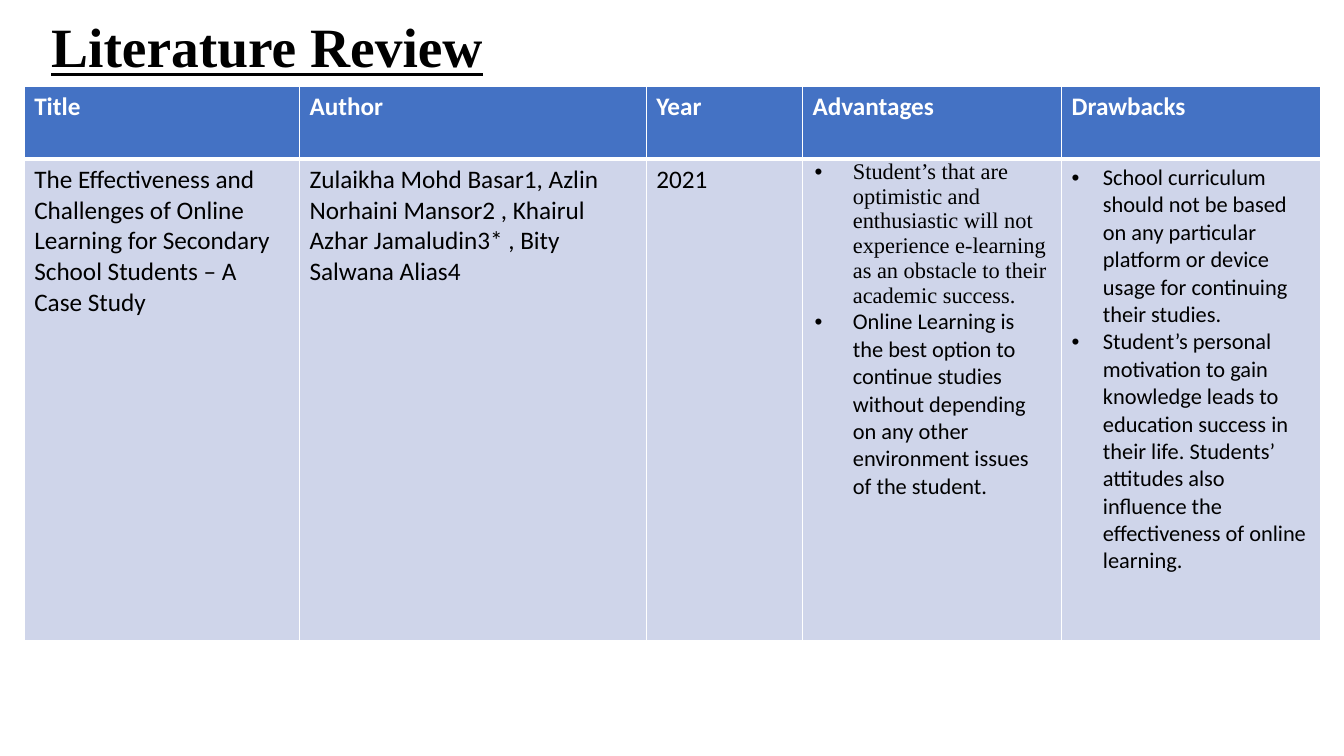
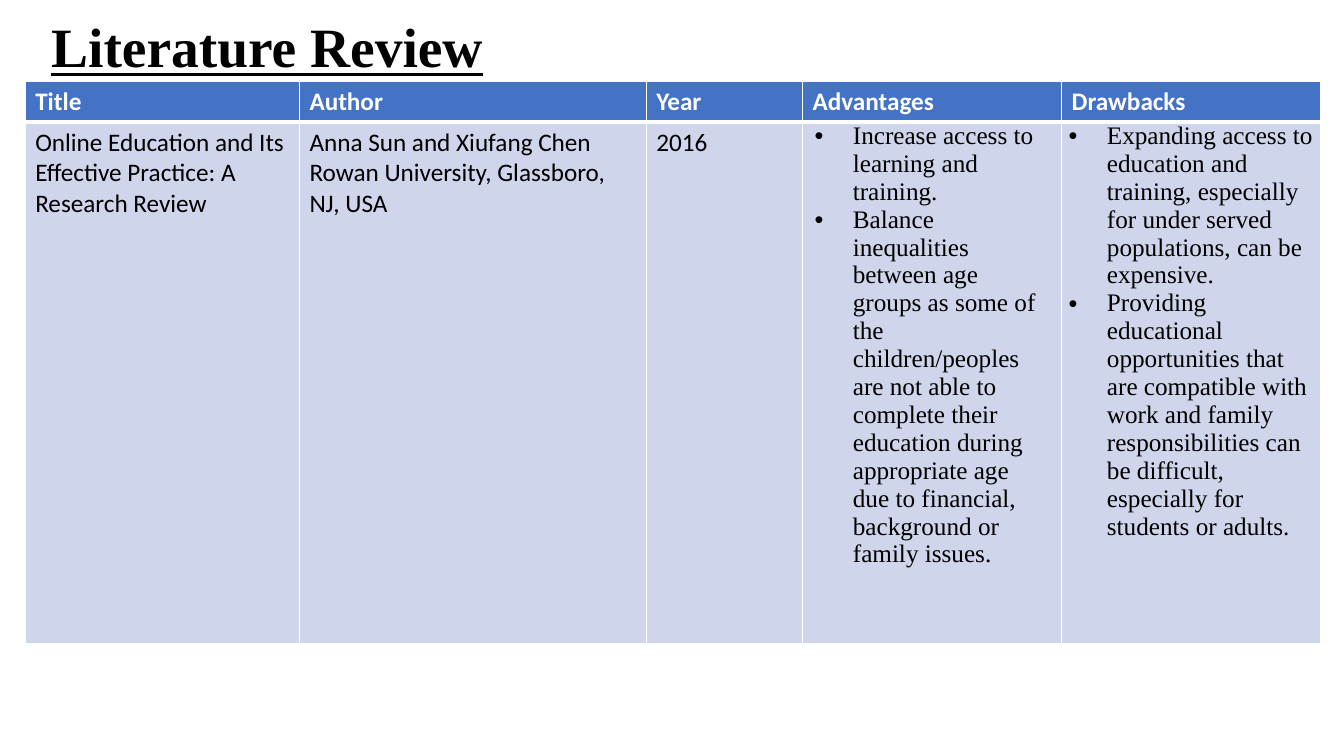
from dataclasses import dataclass

import pptx
import pptx.dml.color
import pptx.enum.text
import pptx.oxml.ns
import pptx.util
from lxml import etree

Inches = pptx.util.Inches
Pt = pptx.util.Pt


def rgb(value):
    return pptx.dml.color.RGBColor.from_string(value)


@dataclass(frozen=True)
class Theme:
    ink: str = "000000"
    paper: str = "FFFFFF"
    header_fill: str = "4472C4"
    body_fill: str = "CFD5EA"
    serif: str = "Times New Roman"
    sans: str = "Calibri"
    heading_size: float = 39.6
    table_size: float = 18
    small_size: float = 16
    rule: float = 1
    header_rule: float = 3


THEME = Theme()
HEADING_BOX = (0.41, 0.14, 11.5, 0.71)
COLUMNS = ("Title", "Author", "Year", "Advantages", "Drawbacks")


@dataclass(frozen=True)
class Points:
    """Bulleted cell content: (text, font) pairs with their size and spacing."""
    items: tuple
    size: float
    indent: float = 0.38
    insets: tuple = (0.1, 0.05)


@dataclass(frozen=True)
class Review:
    box: tuple
    column_widths: tuple
    header_height: float
    entries: tuple


REVIEWS = (
    Review(
        box=(0.24, 0.86, 12.86, 5.5),
        column_widths=(2.73, 3.44, 1.55, 2.57, 2.57),
        header_height=0.72,
        entries=(
            "The Effectiveness and Challenges of Online Learning for Secondary "
            "School Students – A Case Study",
            "Zulaikha Mohd Basar1, Azlin Norhaini Mansor2 , Khairul Azhar "
            "Jamaludin3* , Bity Salwana Alias4",
            "2021",
            Points((
                ("Student’s that are optimistic and enthusiastic will not experience "
                 "e-learning as an obstacle to their academic success.", THEME.serif),
                ("Online Learning is the best option to continue studies without "
                 "depending on any other environment issues of the student.", THEME.sans),
            ), THEME.small_size, insets=(0.12, 0)),
            Points((
                ("School curriculum should not be based on any particular platform "
                 "or device usage for continuing their studies.", THEME.sans),
                ("Student’s personal motivation to gain knowledge leads to education "
                 "success in their life. Students’ attitudes also influence the "
                 "effectiveness of online learning.", THEME.sans),
            ), THEME.small_size, indent=0.31),
        ),
    ),
    Review(
        box=(0.25, 0.81, 12.83, 5.56),
        column_widths=(2.72, 3.44, 1.55, 2.57, 2.57),
        header_height=0.39,
        entries=(
            "Online Education and Its Effective Practice: A Research Review",
            "Anna Sun and Xiufang Chen Rowan University, Glassboro, NJ, USA",
            "2016",
            Points((
                ("Increase access to learning and training.", THEME.serif),
                ("Balance inequalities between age groups as some of the "
                 "children/peoples are not able to complete their education during "
                 "appropriate age due to financial, background or family issues.",
                 THEME.serif),
            ), THEME.table_size, insets=(0.12, 0)),
            Points((
                ("Expanding access to education and training, especially for under "
                 "served populations, can be expensive.", THEME.serif),
                ("Providing educational opportunities that are compatible with work "
                 "and family responsibilities can be difficult, especially for "
                 "students or adults.", THEME.serif),
            ), THEME.table_size, insets=(0.07, 0)),
        ),
    ),
)


def add_run(paragraph, text, font, size, color, bold=False, underline=False):
    run = paragraph.add_run()
    run.text = text
    run.font.name = font
    run.font.size = Pt(size)
    run.font.color.rgb = rgb(color)
    run.font.bold = bold
    run.font.underline = underline


def add_element(parent, tag, **attributes):
    element = etree.SubElement(parent, pptx.oxml.ns.qn(tag))
    for key, value in attributes.items():
        element.set(key, str(value))
    return element


def set_bullet(paragraph, indent):
    properties = paragraph._p.get_or_add_pPr()
    properties.set("marL", str(Inches(indent)))
    properties.set("indent", str(-Inches(indent)))
    add_element(properties, "a:buFont", typeface="Arial")
    add_element(properties, "a:buChar", char="•")


def style_cell(cell, fill, top_rule, bottom_rule):
    """Draws the borders first, since the fill has to follow them in the XML."""
    properties = cell._tc.get_or_add_tcPr()
    widths = {"L": THEME.rule, "R": THEME.rule, "T": top_rule, "B": bottom_rule}
    for side, width in widths.items():
        line = add_element(properties, f"a:ln{side}", w=Pt(width))
        solid = add_element(line, "a:solidFill")
        add_element(solid, "a:srgbClr", val=THEME.paper)
    cell.fill.solid()
    cell.fill.fore_color.rgb = rgb(fill)


def fill_entry(cell, entry):
    frame = cell.text_frame
    if isinstance(entry, str):
        add_run(frame.paragraphs[0], entry, THEME.sans, THEME.table_size, THEME.ink)
        return
    side, edge = entry.insets
    cell.margin_left = cell.margin_right = Inches(side)
    cell.margin_top = cell.margin_bottom = Inches(edge)
    for index, (text, font) in enumerate(entry.items):
        paragraph = frame.add_paragraph() if index else frame.paragraphs[0]
        set_bullet(paragraph, entry.indent)
        add_run(paragraph, text, font, entry.size, THEME.ink)


def add_heading(slide, text, box):
    frame = slide.shapes.add_textbox(*map(Inches, box)).text_frame
    frame.word_wrap = True
    frame.vertical_anchor = pptx.enum.text.MSO_ANCHOR.MIDDLE
    paragraph = frame.paragraphs[0]
    paragraph.line_spacing = 0.9
    add_run(paragraph, text, THEME.serif, THEME.heading_size, THEME.ink,
            bold=True, underline=True)


def add_review_table(slide, review):
    table = slide.shapes.add_table(2, len(COLUMNS), *map(Inches, review.box)).table
    table.first_row = True
    table.horz_banding = False
    for column, width in zip(table.columns, review.column_widths):
        column.width = Inches(width)
    table.rows[0].height = Inches(review.header_height)
    table.rows[1].height = Inches(review.box[3] - review.header_height)

    for index, (label, entry) in enumerate(zip(COLUMNS, review.entries)):
        header, body = table.cell(0, index), table.cell(1, index)
        style_cell(header, THEME.header_fill, THEME.rule, THEME.header_rule)
        style_cell(body, THEME.body_fill, THEME.header_rule, THEME.rule)
        add_run(header.text_frame.paragraphs[0], label, THEME.sans,
                THEME.table_size, THEME.paper, bold=True)
        fill_entry(body, entry)


def add_review_slide(deck, review):
    slide = deck.slides.add_slide(deck.slide_layouts[6])
    add_heading(slide, "Literature Review", HEADING_BOX)
    add_review_table(slide, review)


def main():
    deck = pptx.Presentation()
    deck.slide_width, deck.slide_height = Inches(13.33), Inches(7.5)
    for review in REVIEWS:
        add_review_slide(deck, review)
    deck.save("out.pptx")


if __name__ == "__main__":
    main()
